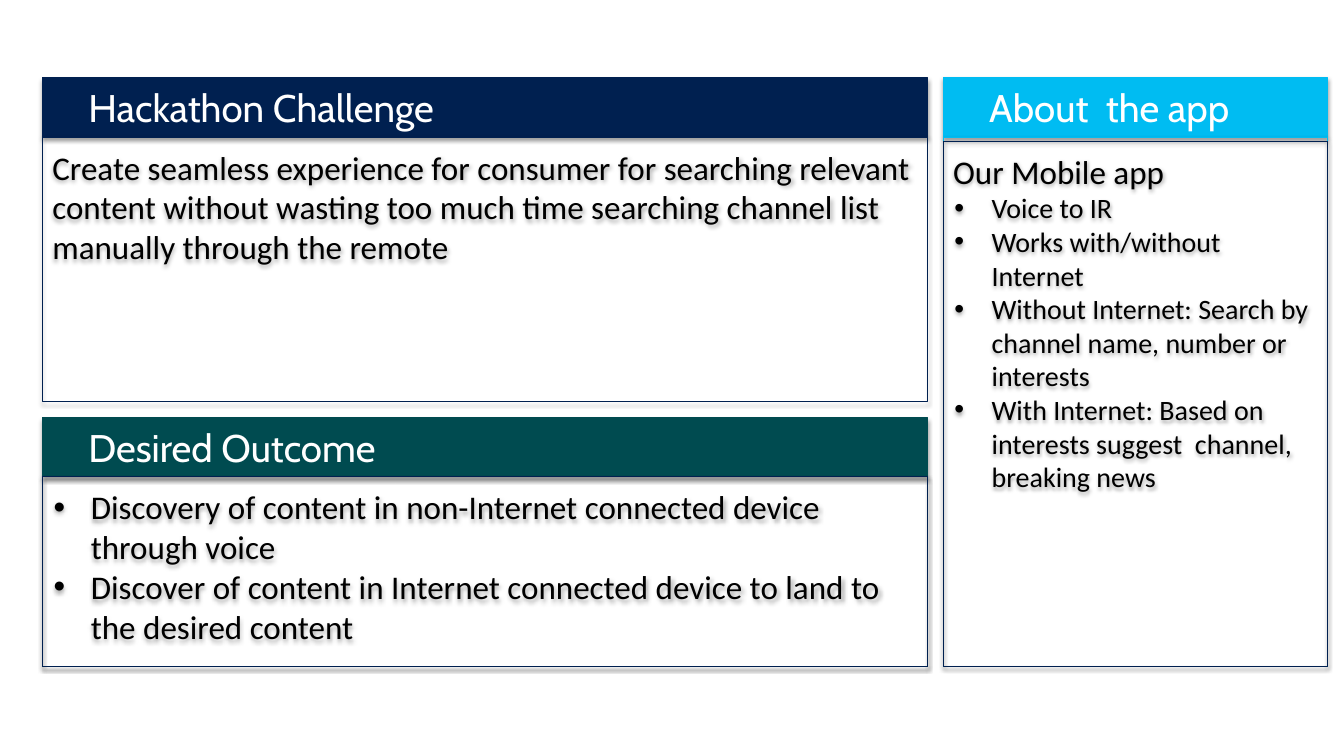
"""Build the hackathon challenge slide with three titled panels."""
from lxml import etree
from pptx import Presentation
from pptx.dml.color import RGBColor
from pptx.enum.shapes import MSO_SHAPE
from pptx.enum.text import MSO_ANCHOR, PP_ALIGN
from pptx.oxml.ns import qn
from pptx.util import Cm, Pt

RECTANGLE = MSO_SHAPE.RECTANGLE
TOP, MIDDLE = MSO_ANCHOR.TOP, MSO_ANCHOR.MIDDLE
LEFT = PP_ALIGN.LEFT
COLORS = {"navy": "002050", "teal": "004B50", "cyan": "00BCF2",
          "white": "FFFFFF", "black": "000000"}
HEADER_HEIGHT = 1.5
LEFT_COLUMN = (1.07, 22.3)
RIGHT_COLUMN = (23.77, 9.68)
UPPER_TOP, LOWER_TOP = 1.96, 10.52
UPPER_BOTTOM, LOWER_BOTTOM = 10.11, 16.79


def rgb(color):
    return RGBColor.from_string(COLORS[color])


def add_bullet(paragraph):
    properties = paragraph._p.get_or_add_pPr()
    properties.set("marL", str(Cm(0.97)))
    properties.set("indent", str(Cm(-0.94)))
    bullet_color = etree.SubElement(properties, qn("a:buClr"))
    etree.SubElement(bullet_color, qn("a:srgbClr"), val=COLORS["black"])
    etree.SubElement(properties, qn("a:buFont"), typeface="Arial")
    etree.SubElement(properties, qn("a:buChar"), char="•")


def write(paragraph, text, *, size=23.6, font="Calibri", color="black",
          bullet=False, indent=0):
    paragraph.alignment = LEFT
    if bullet:
        add_bullet(paragraph)
    elif indent:
        paragraph._p.get_or_add_pPr().set("marL", str(Cm(indent)))
    run = paragraph.add_run()
    run.text = text
    run.font.size = Pt(size)
    run.font.name = font
    run.font.color.rgb = rgb(color)


class PanelSlide:
    def __init__(self, slide):
        self.slide = slide
        self.line_width = Pt(0.75)

    def shadow(self, box):
        box.shadow.inherit = False
        effects = box._element.spPr.find(qn("a:effectLst"))
        outer = etree.SubElement(
            effects, qn("a:outerShdw"), blurRad=str(Pt(3.1)),
            dist=str(Pt(1.8)), dir="5400000", rotWithShape="0")
        tone = etree.SubElement(outer, qn("a:srgbClr"), val=COLORS["black"])
        etree.SubElement(tone, qn("a:alpha"), val="35000")

    def box(self, left, top, width, height, line, fill=None):
        box = self.slide.shapes.add_shape(
            RECTANGLE, Cm(left), Cm(top), Cm(width), Cm(height))
        if fill:
            box.fill.solid()
            box.fill.fore_color.rgb = rgb(fill)
        else:
            box.fill.background()
        box.line.color.rgb = rgb(line)
        box.line.width = self.line_width
        self.shadow(box)
        return box

    def text_frame(self, box, anchor, right, vertical):
        frame = box.text_frame
        frame.word_wrap = True
        frame.vertical_anchor = anchor
        frame.margin_left, frame.margin_right = Cm(0.25), Cm(right)
        frame.margin_top = frame.margin_bottom = Cm(vertical)
        return frame

    def header(self, title, left, top, width, color):
        header = self.box(left, top, width, HEADER_HEIGHT, color, color)
        frame = self.text_frame(header, MIDDLE, 0.51, 0.41)
        write(frame.paragraphs[0], title, size=27.5, font="Cabin",
              color="white", indent=0.91)

    def body(self, entries, left, top, width, bottom):
        body = self.box(left, top, width, bottom - top, "navy")
        frame = self.text_frame(body, TOP, 0.25, 0.25)
        for index, (text, style) in enumerate(entries):
            paragraph = frame.add_paragraph() if index else frame.paragraphs[0]
            write(paragraph, text, **style)

    def panel(self, title, entries, column, top, bottom, color,
              framed=True, gap=0):
        left, width = column
        body_top = top + HEADER_HEIGHT
        self.header(title, left, top, width, color)
        if framed:
            self.box(left, body_top, width, bottom - body_top, color)
        self.body(entries, left, body_top + gap, width, bottom)


def main():
    presentation = Presentation()
    presentation.slide_width, presentation.slide_height = Cm(33.87), Cm(19.05)
    page = PanelSlide(
        presentation.slides.add_slide(presentation.slide_layouts[6]))

    challenge = [("Create seamless experience for consumer for searching "
                  "relevant content without wasting too much time searching "
                  "channel list manually through the remote", {})]
    outcomes = [(text, {"bullet": True}) for text in (
        "Discovery of content in non-Internet connected device through voice",
        "Discover of content in Internet connected device to land to the "
        "desired content")]
    features = [(text, {"bullet": True, "size": 20}) for text in (
        "Voice to IR",
        "Works with/without Internet",
        "Without Internet: Search by channel name, number or interests",
        "With Internet: Based on interests suggest  channel, breaking news")]

    page.panel("Hackathon Challenge", challenge, LEFT_COLUMN,
               UPPER_TOP, UPPER_BOTTOM, "navy", framed=False)
    page.panel("Desired Outcome", outcomes, LEFT_COLUMN,
               LOWER_TOP, LOWER_BOTTOM, "teal")
    page.panel("About  the app", [("Our Mobile app", {})] + features,
               RIGHT_COLUMN, UPPER_TOP, LOWER_BOTTOM, "cyan", gap=0.1)

    presentation.save("out.pptx")


if __name__ == "__main__":
    main()
